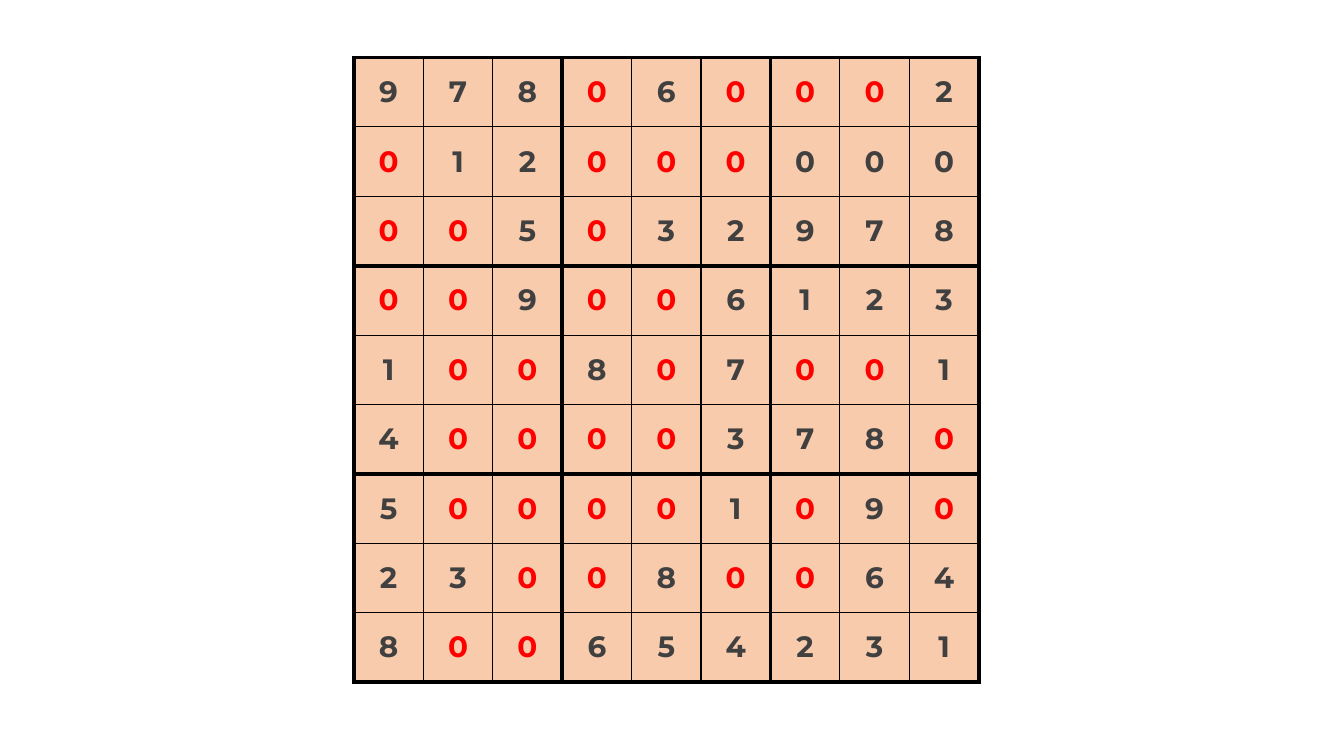
from typing import NamedTuple

from lxml.etree import SubElement
from pptx import Presentation
from pptx.dml.color import RGBColor
from pptx.enum.text import MSO_ANCHOR, PP_ALIGN
from pptx.oxml.ns import qn
from pptx.table import _Cell
from pptx.util import Inches, Pt

DIGITS = (
    "978060002",
    "012000000",
    "005032978",
    "009006123",
    "100807001",
    "400003780",
    "500001090",
    "230080064",
    "800654231",
)
SIZE = len(DIGITS)
BOX = 3
DARK_ZEROS = {(1, 6), (1, 7), (1, 8)}
GRID_SIDE = Inches(6.2)
PEACH, GREY, RED, BLACK = "F8CBAD", "404040", "FF0000", "000000"
THICK, THIN = Pt(3), Pt(1)


class Border(NamedTuple):
    """One side of a cell: its XML tag and whether it bounds a box."""

    tag: str
    on_box_edge: bool


def color(value: str) -> RGBColor:
    """Turn a hex string into a colour."""
    return RGBColor.from_string(value)


def draw_border(cell: _Cell, border: Border) -> None:
    """Add one solid border line to a cell."""
    width = THICK if border.on_box_edge else THIN
    properties = cell._tc.get_or_add_tcPr()
    line = SubElement(properties, qn(border.tag), w=str(int(width)))
    fill = SubElement(line, qn("a:solidFill"))
    SubElement(fill, qn("a:srgbClr"), val=BLACK)


def draw_cell(cell: _Cell, row: int, column: int) -> None:
    """Write one Sudoku digit with its borders, fill and font."""
    borders = (
        Border("a:lnL", column % BOX == 0),
        Border("a:lnR", column % BOX == BOX - 1),
        Border("a:lnT", row % BOX == 0),
        Border("a:lnB", row % BOX == BOX - 1),
    )
    for border in borders:
        draw_border(cell, border)
    cell.fill.solid()
    cell.fill.fore_color.rgb = color(PEACH)
    cell.vertical_anchor = MSO_ANCHOR.MIDDLE
    cell.margin_left = cell.margin_right = Inches(0.12)
    cell.margin_top = cell.margin_bottom = Inches(0.06)

    digit = DIGITS[row][column]
    is_red = digit == "0" and (row, column) not in DARK_ZEROS
    cell.text = digit
    paragraph = cell.text_frame.paragraphs[0]
    paragraph.alignment = PP_ALIGN.CENTER
    paragraph.font.name = "Montserrat"
    paragraph.font.size = Pt(21)
    paragraph.font.bold = True
    paragraph.font.color.rgb = color(RED if is_red else GREY)


def main() -> None:
    """Build the Sudoku slide and save it."""
    presentation = Presentation()
    presentation.slide_width = Inches(13.33)
    presentation.slide_height = Inches(7.5)
    slide = presentation.slides.add_slide(presentation.slide_layouts[6])
    sudoku = slide.shapes.add_table(
        SIZE, SIZE, Inches(3.51), Inches(0.57), GRID_SIDE, GRID_SIDE
    ).table
    sudoku.first_row = sudoku.horz_banding = False
    for index in range(SIZE):
        sudoku.columns[index].width = sudoku.rows[index].height = GRID_SIDE // SIZE
    for row in range(SIZE):
        for column in range(SIZE):
            draw_cell(sudoku.cell(row, column), row, column)
    presentation.save("out.pptx")


main()
